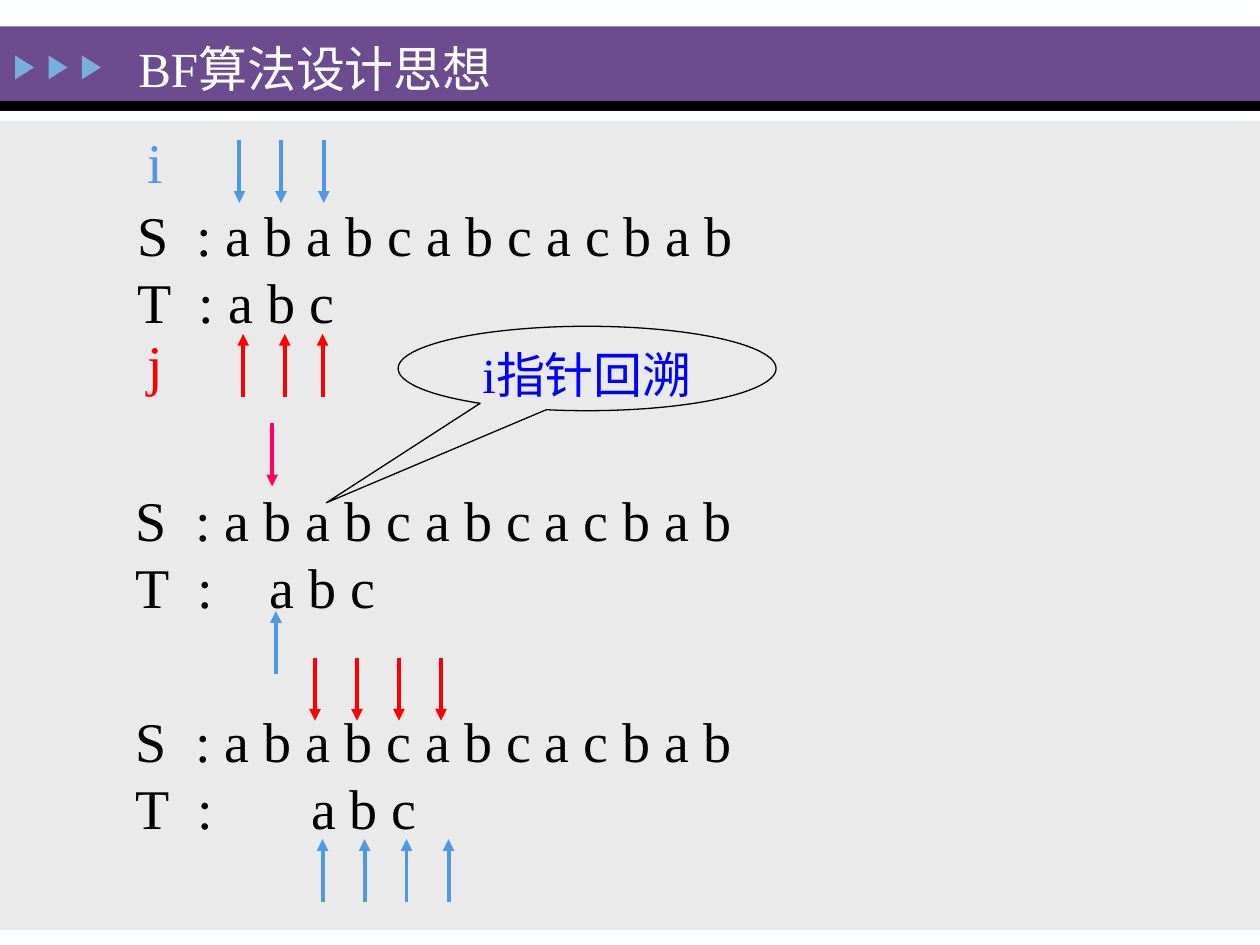
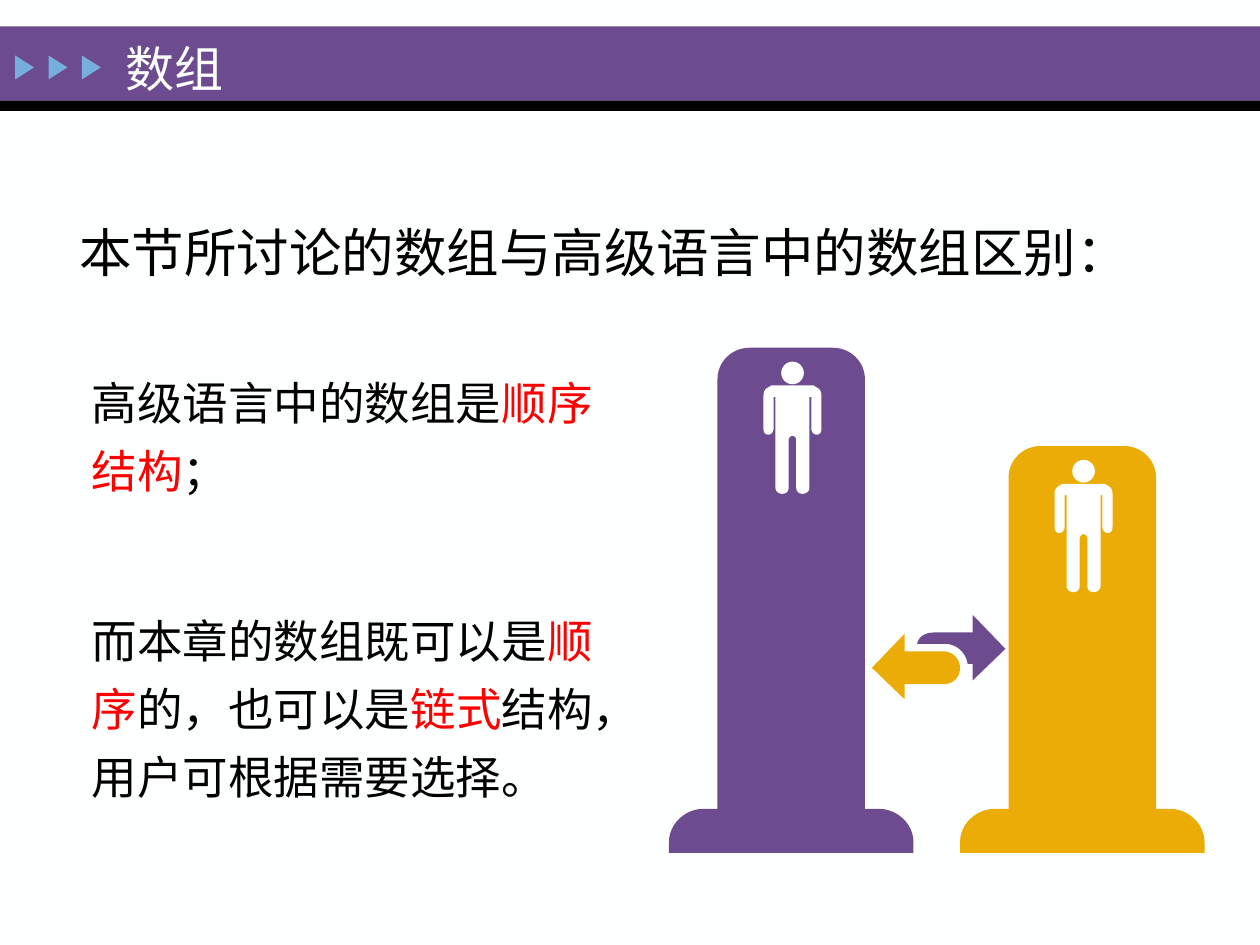
"""Build two lecture slides: BF string matching and arrays."""
from lxml import etree
from pptx import Presentation
from pptx import util as u
from pptx.dml.color import RGBColor
from pptx.enum import shapes, text
from pptx.oxml import ns

PURPLE, GOLD, WHITE, PAPER = "6C4C8F", "EBAC07", "FFFFFF", "FEFFFF"
BLACK, RED, PINK = "000000", "FF0000", "FF0066"
BLUE, DEEP_BLUE, SKY, GREY = "4F99E2", "0000FF", "76AEDD", "EAEAEA"
FONT = "Times New Roman"


def color(value):
    """Turn a hex string into a colour."""
    return RGBColor.from_string(value)


def child(parent, tag, **attributes):
    """Append a DrawingML element to a parent."""
    return etree.SubElement(parent, ns.qn(tag), **attributes)


def write(frame, paragraphs, size=32, ink=BLACK, align=None, spacing=None,
          before=(), stops=()):
    """Fill a frame; a paragraph is a string or a list of (text, colour)."""
    frame.word_wrap = True
    for index, content in enumerate(paragraphs):
        para = frame.paragraphs[0] if index == 0 else frame.add_paragraph()
        para.alignment = align
        para.line_spacing = spacing
        if before:
            para.space_before = u.Pt(before[index])
        if stops:
            tabs = child(para._p.get_or_add_pPr(), "a:tabLst")
            for stop in stops[index]:
                child(tabs, "a:tab", pos=str(u.Inches(stop)), algn="l")
        for words, tint in [(content, ink)] if isinstance(content, str) else content:
            span = para.add_run()
            span.text = words
            span.font.name = FONT
            span.font.size = u.Pt(size)
            span.font.color.rgb = color(tint)


def trace(steps):
    """List the points of an outline of lines (2 numbers) and curves (6 numbers)."""
    points = [steps[0]]
    for step in steps[1:]:
        if len(step) == 2:
            points.append(step)
            continue
        nodes = [points[-1], step[:2], step[2:4], step[4:]]
        for t in (n / 12 for n in range(1, 13)):
            weights = ((1 - t) ** 3, 3 * t * (1 - t) ** 2, 3 * t * t * (1 - t), t ** 3)
            points.append(tuple(sum(w * node[axis] for w, node in zip(weights, nodes))
                                for axis in (0, 1)))
    return points


class Painter:
    """Holds the shared style and draws on the current page."""

    def __init__(self):
        """Start an empty deck."""
        self.deck = Presentation()
        self.deck.slide_width, self.deck.slide_height = u.Inches(10), u.Inches(7.5)
        self.page = None

    def new_page(self):
        """Add a page with the header band and its three markers."""
        self.page = self.deck.slides.add_slide(self.deck.slide_layouts[6])
        self.page.background.fill.solid()
        self.page.background.fill.fore_color.rgb = color(PAPER)
        self.shape("RECTANGLE", 0, 0.21, 10, 0.59, PURPLE)
        self.shape("RECTANGLE", 0, 0.8, 10, 0.08, BLACK)
        for index in range(3):
            marker = self.shape("ISOSCELES_TRIANGLE", 0.1 + 0.265 * index, 0.46,
                                0.19, 0.15, SKY)
            marker.rotation = 90

    def paint(self, item, fill=None, line=None):
        """Give a shape its fill and line and remove its shadow."""
        item.shadow.inherit = False
        if fill:
            item.fill.solid()
            item.fill.fore_color.rgb = color(fill)
        else:
            item.fill.background()
        if line:
            item.line.color.rgb = color(line)
            item.line.width = u.Pt(0.75)
        else:
            item.line.fill.background()
        return item

    def shape(self, kind, left, top, width, height, fill=None, line=None):
        """Add a preset shape."""
        item = self.page.shapes.add_shape(
            shapes.MSO_SHAPE[kind], *map(u.Inches, (left, top, width, height)))
        return self.paint(item, fill, line)

    def text(self, left, top, width, height, paragraphs, middle=False, **style):
        """Add a text box."""
        box = self.page.shapes.add_textbox(*map(u.Inches, (left, top, width, height)))
        if middle:
            box.text_frame.vertical_anchor = text.MSO_ANCHOR.MIDDLE
        write(box.text_frame, paragraphs, **style)

    def title(self, left, words):
        """Write the page title on the band."""
        self.text(left, 0.26, 6, 0.56, [words], middle=True, size=28, ink=PAPER)

    def arrows(self, columns, start, end, ink):
        """Add one vertical arrow in each column."""
        for x in columns:
            arrow = self.page.shapes.add_connector(
                shapes.MSO_CONNECTOR.STRAIGHT, *map(u.Inches, (x, start, x, end)))
            arrow.line.color.rgb = color(ink)
            arrow.line.width = u.Pt(2.25)
            child(arrow.line._get_or_add_ln(), "a:tailEnd", type="triangle")
            child(arrow._element.spPr, "a:effectLst")

    def outline(self, points, fill, x=0, y=0):
        """Add a closed freeform, moved by x and y."""
        start, *rest = [(u.Inches(x + dx), u.Inches(y + dy)) for dx, dy in points]
        builder = self.page.shapes.build_freeform(*start)
        builder.add_line_segments(rest, close=True)
        self.paint(builder.convert_to_shape(), fill)

    def mirrored(self, half, fill, x, y):
        """Add a freeform from its right half, symmetric about x."""
        right = trace(half)
        self.outline(right + [(-dx, dy) for dx, dy in reversed(right)], fill, x, y)

    def pillar(self, center, top, fill):
        """Add a pillar with a person on it, standing on the common floor."""
        floor = 6.77 - top
        step = floor - 0.35
        self.mirrored([(0, 0), (0.33, 0), (0.47, 0, 0.585, 0.11, 0.585, 0.25),
                       (0.585, step), (0.7, step),
                       (0.84, step, 0.97, step + 0.12, 0.97, step + 0.26),
                       (0.97, floor)], fill, center, top)
        self.shape("OVAL", center - 0.08, top + 0.11, 0.18, 0.18, WHITE)
        self.mirrored([(0, 0), (0.17, 0), (0.19, 0.02, 0.23, 0.02, 0.23, 0.08),
                       (0.23, 0.34), (0.23, 0.37, 0.22, 0.39, 0.19, 0.39),
                       (0.17, 0.39, 0.15, 0.37, 0.15, 0.34), (0.15, 0.09),
                       (0.135, 0.09), (0.135, 0.81),
                       (0.135, 0.84, 0.11, 0.86, 0.08, 0.86),
                       (0.05, 0.86, 0.03, 0.84, 0.03, 0.81), (0.03, 0.43),
                       (0.03, 0.42, 0.02, 0.4, 0, 0.4)],
                      WHITE, center + 0.01, top + 0.3)


def matching_page(painter):
    """Show three rounds of BF matching."""
    painter.new_page()
    painter.shape("RECTANGLE", 0, 0.96, 10, 6.42, GREY)
    painter.title(1, "BF算法设计思想")
    source = "S\t: a b a b c a b c a c b a b"
    rounds = [(0.99, 1.54, "T\t: a b c", 0.73),
              (0.98, 3.8, "T\t:\ta b c", 1.06),
              (0.98, 5.56, "T\t:\ta b c", 1.39)]
    for left, top, target, offset in rounds:
        painter.text(left, top, 7.92, 1.18, [source, target],
                     stops=[(0.47,), (0.49, offset)])
    for pointer, top, ink in (("i", 0.96, BLUE), ("j", 2.57, RED)):
        painter.text(1.07, top, 0.33, 0.63, [pointer], ink=ink)
    painter.arrows((1.9, 2.23, 2.57), 1.11, 1.61, BLUE)
    painter.arrows((1.93, 2.26, 2.56), 3.15, 2.65, RED)
    painter.arrows([2.16], 3.36, 3.86, PINK)
    painter.arrows([2.19], 5.35, 4.85, BLUE)
    shifts = [index / 3 for index in range(4)]
    painter.arrows([2.5 + shift for shift in shifts], 5.22, 5.72, RED)
    painter.arrows([2.56 + shift for shift in shifts], 7.16, 6.66, BLUE)
    callout = painter.shape("OVAL_CALLOUT", 3.16, 2.59, 3, 0.67, line=BLACK)
    callout.adjustments[0], callout.adjustments[1] = -0.69, 1.59
    callout.text_frame.vertical_anchor = text.MSO_ANCHOR.TOP
    write(callout.text_frame, ["i指针回溯"], size=28, ink=DEEP_BLUE,
          align=text.PP_ALIGN.CENTER)


def array_page(painter):
    """Compare arrays in high-level languages with those of the chapter."""
    painter.new_page()
    painter.title(0.9, "数组")
    painter.text(0.53, 1.57, 8.51, 0.67, ["本节所讨论的数组与高级语言中的数组区别："],
                 size=30, spacing=1.25)
    painter.text(0.63, 2.82, 4.51, 3.66, [
        [("高级语言中的数组是", BLACK), ("顺序结构", RED), ("；", BLACK)],
        [("而本章的数组既可以是", BLACK), ("顺序", RED), ("的，也可以是", BLACK),
         ("链式", RED), ("结构，用户可根据需要选择。", BLACK)],
    ], size=26, spacing=1.25, before=(10, 58))
    painter.pillar(6.28, 2.76, PURPLE)
    painter.pillar(8.59, 3.54, GOLD)
    painter.outline(trace([
        (7.18, 5.17), (7.18, 5.03), (6.92, 5.3), (7.18, 5.55), (7.18, 5.43),
        (7.49, 5.43), (7.56, 5.43, 7.62, 5.38, 7.62, 5.3),
        (7.62, 5.23, 7.56, 5.17, 7.49, 5.17)]), GOLD)
    painter.outline(trace([
        (7.5, 5.11), (7.28, 5.11), (7.29, 5.05, 7.35, 5.02, 7.41, 5.02),
        (7.72, 5.02), (7.72, 4.88), (7.98, 5.15), (7.72, 5.4), (7.72, 5.27),
        (7.68, 5.27), (7.67, 5.18, 7.59, 5.11, 7.5, 5.11)]), PURPLE)


def main():
    """Build and save the deck."""
    painter = Painter()
    matching_page(painter)
    array_page(painter)
    painter.deck.save("out.pptx")


if __name__ == "__main__":
    main()
